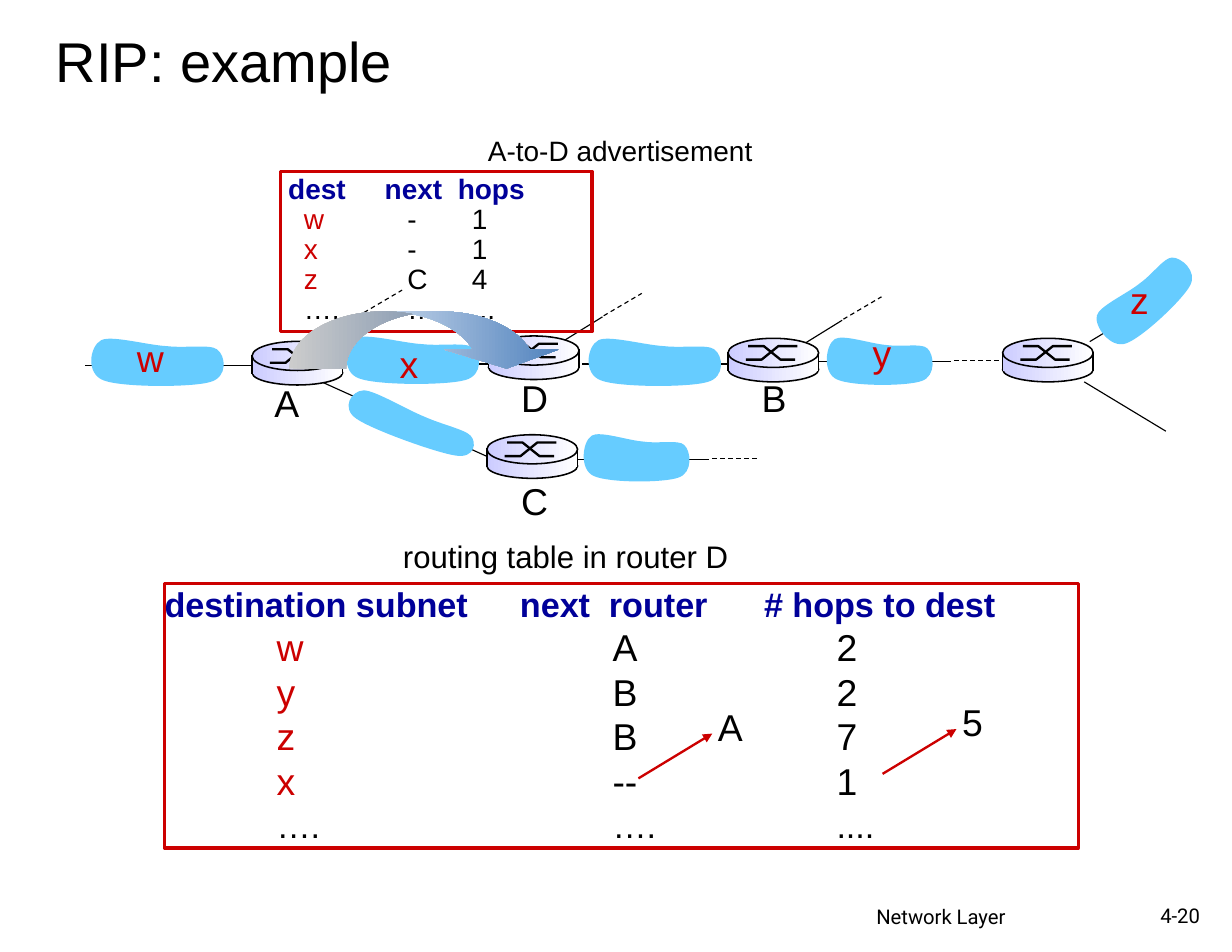
from dataclasses import dataclass

from lxml import etree
from pptx import Presentation
from pptx.dml.color import RGBColor
from pptx.enum.dml import MSO_LINE
from pptx.enum.shapes import MSO_CONNECTOR, MSO_SHAPE
from pptx.enum.text import MSO_ANCHOR, PP_ALIGN
from pptx.oxml.ns import qn
from pptx.util import Pt

STRAIGHT = MSO_CONNECTOR.STRAIGHT
OVAL, RECTANGLE, CURVED_ARROW = MSO_SHAPE.OVAL, MSO_SHAPE.RECTANGLE, MSO_SHAPE.CURVED_DOWN_ARROW
DASH = MSO_LINE.DASH
TOP, MIDDLE = MSO_ANCHOR.TOP, MSO_ANCHOR.MIDDLE
LEFT, CENTER, RIGHT = PP_ALIGN.LEFT, PP_ALIGN.CENTER, PP_ALIGN.RIGHT


@dataclass(frozen=True)
class Theme:
    font: str = "Arial"
    footer_font: str = "Roboto"
    black: str = "000000"
    white: str = "FFFFFF"
    red: str = "CC0000"
    navy: str = "000099"
    subnet: str = "66CCFF"
    router: str = "CCCCFF"
    arrow: str = "4F81BD"
    title: int = 36
    label: int = 24
    header: int = 22
    caption: int = 20
    small: int = 18
    footer: int = 13


THEME = Theme()

CLOUD_WIDTH, CLOUD_HEIGHT = 92, 34.5
CLOUD_START = (0.57, 0.21)
CLOUD_CURVES = [
    ((0.43, 0.19), (0.18, 0), (0.11, 0.1)),
    ((0.03, 0.21), (0, 0.73), (0.13, 0.85)),
    ((0.26, 0.98), (0.74, 0.98), (0.87, 0.88)),
    ((1, 0.79), (0.98, 0.38), (0.92, 0.27)),
    ((0.87, 0.17), (0.7, 0.25), CLOUD_START),
]

ROUTER_WIDTH = 58.3
ROUTER_PARTS = [(OVAL, 12.2, 15.8, True), (RECTANGLE, 10.8, 10, False), (OVAL, 0, 18.7, True)]
ROUTER_CROSS = [
    [(11.5, 13.7), (21.6, 13.7), (32.4, 5), (44.6, 5)],
    [(13, 5), (23, 5), (33.8, 13.7), (43.2, 13.7)],
]
ROUTERS = [(314, 216), (468, 217.5), (644.5, 217.5), (313, 279.5), (162, 219.5)]

SUBNET_WIRES = [(219, 234, 327, 234), (374.4, 234, 482.4, 234), (54.7, 234.9, 162.7, 234.9)]
WIRES = [
    (526.3, 232.6, 611.3, 232.6), (700.6, 219.6, 753.1, 187.9), (697, 245.5, 749.5, 277.2),
    (205.2, 244.8, 313.9, 293.8), (370.8, 295.2, 455.8, 295.2),
]
DASHED_WIRES = [(613.4, 231.8, 643.7, 231.8), (457.9, 294.5, 487.4, 294.5)]
STUBS = [(513.4, 223.2), (359.3, 221), (205.2, 218.9)]
CLOUDS = [
    (219, 214, CLOUD_WIDTH, CLOUD_HEIGHT, 0),
    (218.2, 260, CLOUD_WIDTH, 25, 19.7),
    (54.9, 215.3, CLOUD_WIDTH, CLOUD_HEIGHT, 0),
    (374.6, 215.3, CLOUD_WIDTH, CLOUD_HEIGHT, 0),
    (528.5, 214.6, 73.5, CLOUD_HEIGHT, 0),
    (698.4, 175.7, 75, CLOUD_HEIGHT, 316.8),
    (372.2, 276.7, 73.5, CLOUD_HEIGHT, 0),
]
SUBNET_LABELS = [("w", 80, 211.7), ("x", 249, 215.3), ("y", 553, 208), ("z", 718.5, 174.2)]
ROUTER_LABELS = [("A", 168.5, 240.5), ("C", 327, 303.4), ("D", 327, 237), ("B", 481.7, 237)]

ROUTING_ROWS = [
    ("destination subnet", "next", "router", "# hops to dest"),
    ("w", "A", "2"), ("y", "B", "2"), ("z", "B", "7"), ("x", "--", "1"),
    ("….", "….", "...."),
]
ADVERTISEMENT_ROWS = [
    ("dest", "next", "hops"),
    ("w", "-", "1"), ("x", "-", "1"), ("z", "C", "4"),
    ("….", "…", "..."),
]
UPDATES = [("A", 410.4, 500.4, 453.5, 449), ("5", 567.4, 497.5, 610.5, 445.5)]


def rgb(color):
    return RGBColor.from_string(color)


def style_run(run, size, color, font=THEME.font, bold=False):
    run.font.name = font
    run.font.size = Pt(size)
    run.font.bold = bold
    run.font.color.rgb = rgb(color)


def add_label(slide, text, left, top, width, size, color=THEME.black, font=THEME.font,
              alignment=LEFT, wrap=False):
    shape = slide.shapes.add_textbox(Pt(left), Pt(top), Pt(width), Pt(size * 1.15 + 8))
    frame = shape.text_frame
    frame.word_wrap = wrap
    frame.margin_left = frame.margin_right = Pt(8)
    frame.margin_top = frame.margin_bottom = Pt(4)
    frame.text = text
    paragraph = frame.paragraphs[0]
    paragraph.alignment = alignment
    style_run(paragraph.runs[0], size, color, font)


def add_line(shapes, ends, color=THEME.black, width=0.75, dashed=False, arrow=False):
    connector = shapes.add_connector(STRAIGHT, *(Pt(value) for value in ends))
    connector.line.color.rgb = rgb(color)
    connector.line.width = Pt(width)
    if dashed:
        connector.line.dash_style = DASH
    if arrow:
        etree.SubElement(connector.line._get_or_add_ln(), qn("a:tailEnd"), type="triangle")
    etree.SubElement(connector._element.spPr, qn("a:effectLst"))


def add_outline(shapes, points, close):
    corners = [(Pt(x), Pt(y)) for x, y in points]
    builder = shapes.build_freeform(*corners[0], scale=1.0)
    builder.add_line_segments(corners[1:], close=close)
    shape = builder.convert_to_shape()
    shape.shadow.inherit = False
    return shape


def add_cloud(slide, left, top, width, height, rotation):
    right, bottom = left + width, top + height
    frame = [(left, top), (right, top), (right, bottom), (left, bottom)]
    shape = add_outline(slide.shapes, frame, True)
    outline = next(shape._element.iter(qn("a:path")))
    for segment in list(outline):
        outline.remove(segment)
    segments = [("a:moveTo", [CLOUD_START])]
    segments += [("a:cubicBezTo", curve) for curve in CLOUD_CURVES]
    for tag, points in segments:
        segment = etree.SubElement(outline, qn(tag))
        for x, y in points:
            etree.SubElement(segment, qn("a:pt"), x=str(int(Pt(x * width))),
                             y=str(int(Pt(y * height))))
    etree.SubElement(outline, qn("a:close"))
    shape.fill.solid()
    shape.fill.fore_color.rgb = rgb(THEME.subnet)
    shape.line.fill.background()
    shape.rotation = rotation


def add_gradient_shape(shapes, kind, left, top, width, height, colors, outlined):
    shape = shapes.add_shape(kind, Pt(left), Pt(top), Pt(width), Pt(height))
    shape.shadow.inherit = False
    shape.fill.gradient()
    shape.fill.gradient_angle = 0
    for stop, color in zip(shape.fill.gradient_stops, colors):
        stop.color.rgb = rgb(color)
    if outlined:
        shape.line.color.rgb = rgb(THEME.black)
        shape.line.width = Pt(1)
    else:
        shape.line.fill.background()
    return shape


def add_router(slide, left, top):
    shapes = slide.shapes.add_group_shape().shapes
    for kind, offset, height, outlined in ROUTER_PARTS:
        add_gradient_shape(shapes, kind, left, top + offset, ROUTER_WIDTH, height,
                           (THEME.router, THEME.white), outlined)
    for stroke in ROUTER_CROSS:
        shape = add_outline(shapes, [(left + x, top + y) for x, y in stroke], False)
        shape.fill.background()
        shape.line.color.rgb = rgb(THEME.black)
        shape.line.width = Pt(1.5)
    for side in (left, left + ROUTER_WIDTH):
        add_line(shapes, (side, top + 8.6, side, top + 20.9), width=1)


def add_tabbed_box(slide, bounds, rows, header_stops, row_stops, sizes, spacings, inset=0):
    shape = slide.shapes.add_shape(RECTANGLE, *(Pt(value) for value in bounds))
    shape.shadow.inherit = False
    shape.fill.background()
    shape.line.color.rgb = rgb(THEME.red)
    shape.line.width = Pt(2.25)
    frame = shape.text_frame
    frame.word_wrap = True
    frame.vertical_anchor = TOP
    frame.margin_left = frame.margin_right = frame.margin_bottom = 0
    frame.margin_top = Pt(inset)
    for index, cells in enumerate(rows):
        paragraph = frame.paragraphs[0] if index == 0 else frame.add_paragraph()
        paragraph.alignment = LEFT
        is_data = 0 < index < len(rows) - 1
        header_spacing, row_spacing, last_spacing = spacings
        edge_spacing = last_spacing if index else header_spacing
        paragraph.line_spacing = Pt(row_spacing if is_data else edge_spacing)
        stops = row_stops if index else header_stops
        for column, (cell, stop) in enumerate(zip(cells, stops)):
            run = paragraph.add_run()
            run.text = "\t" + cell if stop else cell
            color = THEME.red if is_data and column == 0 else THEME.black
            style_run(run, sizes[1] if is_data else sizes[0],
                      color if index else THEME.navy, bold=index == 0)
        tabs = etree.SubElement(paragraph._p.get_or_add_pPr(), qn("a:tabLst"))
        for stop in filter(None, stops):
            etree.SubElement(tabs, qn("a:tab"), pos=str(int(Pt(stop))), algn="l")


def add_title(slide, text):
    title = slide.shapes.title
    title.left, title.top, title.width, title.height = Pt(35.9), Pt(16.4), Pt(341), Pt(44)
    frame = title.text_frame
    frame.margin_left = frame.margin_right = frame.margin_top = frame.margin_bottom = 0
    frame.vertical_anchor = MIDDLE
    frame.text = text
    frame.paragraphs[0].alignment = LEFT
    style_run(frame.paragraphs[0].runs[0], THEME.title, THEME.black)


def add_network(slide):
    for ends in SUBNET_WIRES:
        add_line(slide.shapes, ends, width=1)
    for ends in WIRES:
        add_line(slide.shapes, ends)
    for ends in DASHED_WIRES:
        add_line(slide.shapes, ends, dashed=True)
    for x, y in STUBS:
        add_line(slide.shapes, (x, y, x + 28, y - 17.3))
        add_line(slide.shapes, (x + 28.8, y - 18, x + 53.3, y - 32.4), dashed=True)
    for cloud in CLOUDS:
        add_cloud(slide, *cloud)
    for labels, color in ((SUBNET_LABELS, THEME.red), (ROUTER_LABELS, THEME.black)):
        for text, left, top in labels:
            add_label(slide, text, left, top, 33, THEME.label, color)
    for left, top in ROUTERS:
        add_router(slide, left, top)


def add_routing_table(slide):
    add_label(slide, "routing table in router D", 251, 341.3, 226.8, THEME.caption)
    add_tabbed_box(slide, (105.8, 375.1, 587.5, 170), ROUTING_ROWS, (0, 228.5, 285.7, 385.4),
                   (72, 288, 432), (THEME.header, THEME.label), (26, 28.8, 27.4))
    for text, x, y, label_left, label_top in UPDATES:
        add_line(slide.shapes, (x, y, x + 47.5, y - 28.8), THEME.red, 1.5, arrow=True)
        add_label(slide, text, label_left, label_top, 31, THEME.label)


def add_advertisement(slide):
    add_label(slide, "A-to-D advertisement", 305.7, 81.7, 186.5, THEME.small)
    add_tabbed_box(slide, (180.3, 110.2, 200.2, 103), ADVERTISEMENT_ROWS, (5, 67, 114),
                   (15, 81.5, 123), (THEME.small, THEME.small), (19.3, 19.3, 19.3), 2.4)
    arrow = add_gradient_shape(slide.shapes, CURVED_ARROW, 185.8, 200.2, 176.4, 36.7,
                               (THEME.white, THEME.arrow), False)
    for index, value in enumerate((1, 1.99, 0.33)):
        arrow.adjustments[index] = value


def main():
    presentation = Presentation()
    presentation.slide_width, presentation.slide_height = Pt(792), Pt(612)
    slide = presentation.slides.add_slide(presentation.slide_layouts[5])
    add_title(slide, "RIP: example")
    add_label(slide, "Network Layer", 479.5, 577.4, 250.6, THEME.footer,
              font=THEME.footer_font, alignment=CENTER, wrap=True)
    add_label(slide, "4-20", 721, 576.7, 58.3, THEME.footer,
              font=THEME.footer_font, alignment=RIGHT, wrap=True)
    add_network(slide)
    add_routing_table(slide)
    add_advertisement(slide)
    presentation.save("out.pptx")


if __name__ == "__main__":
    main()
